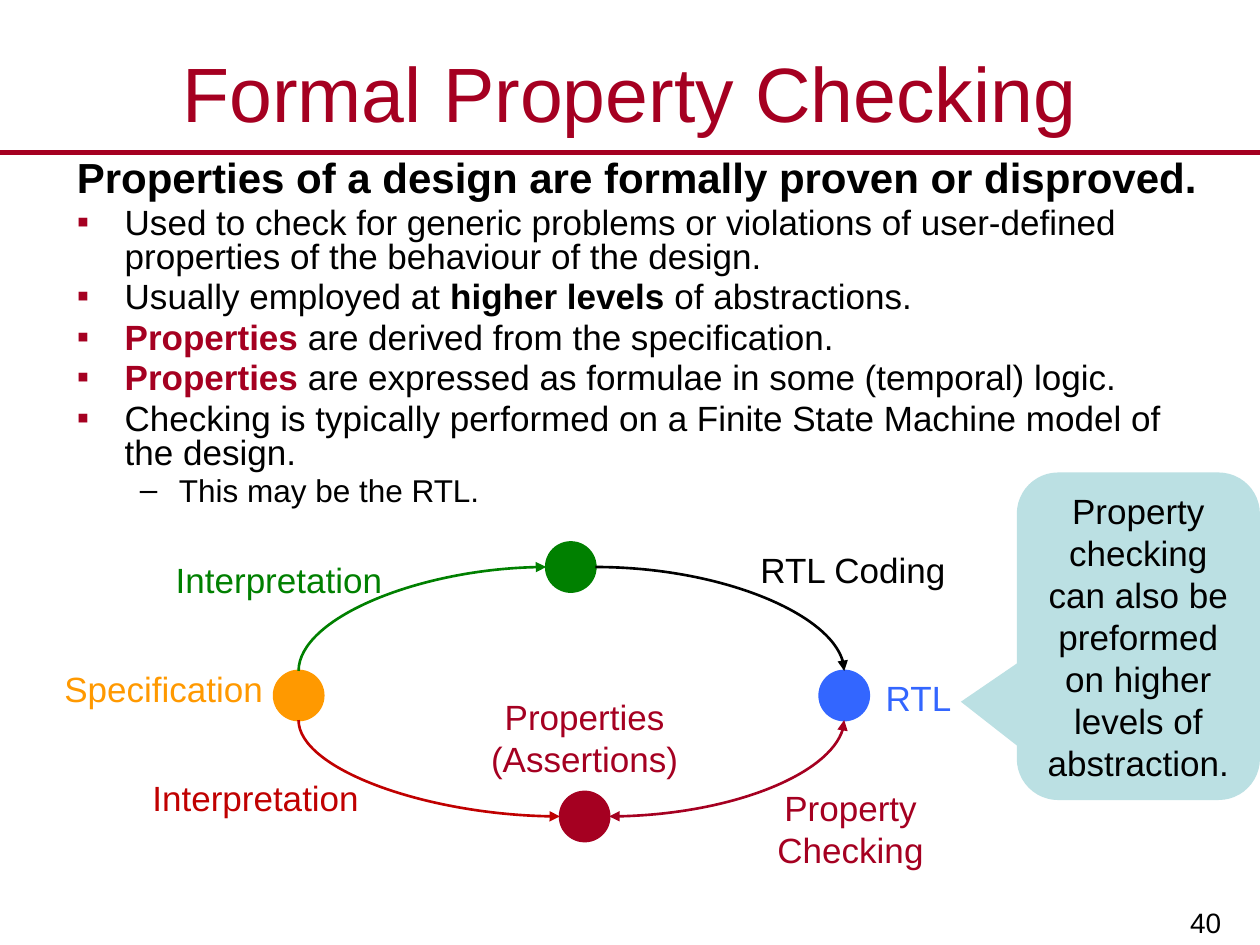
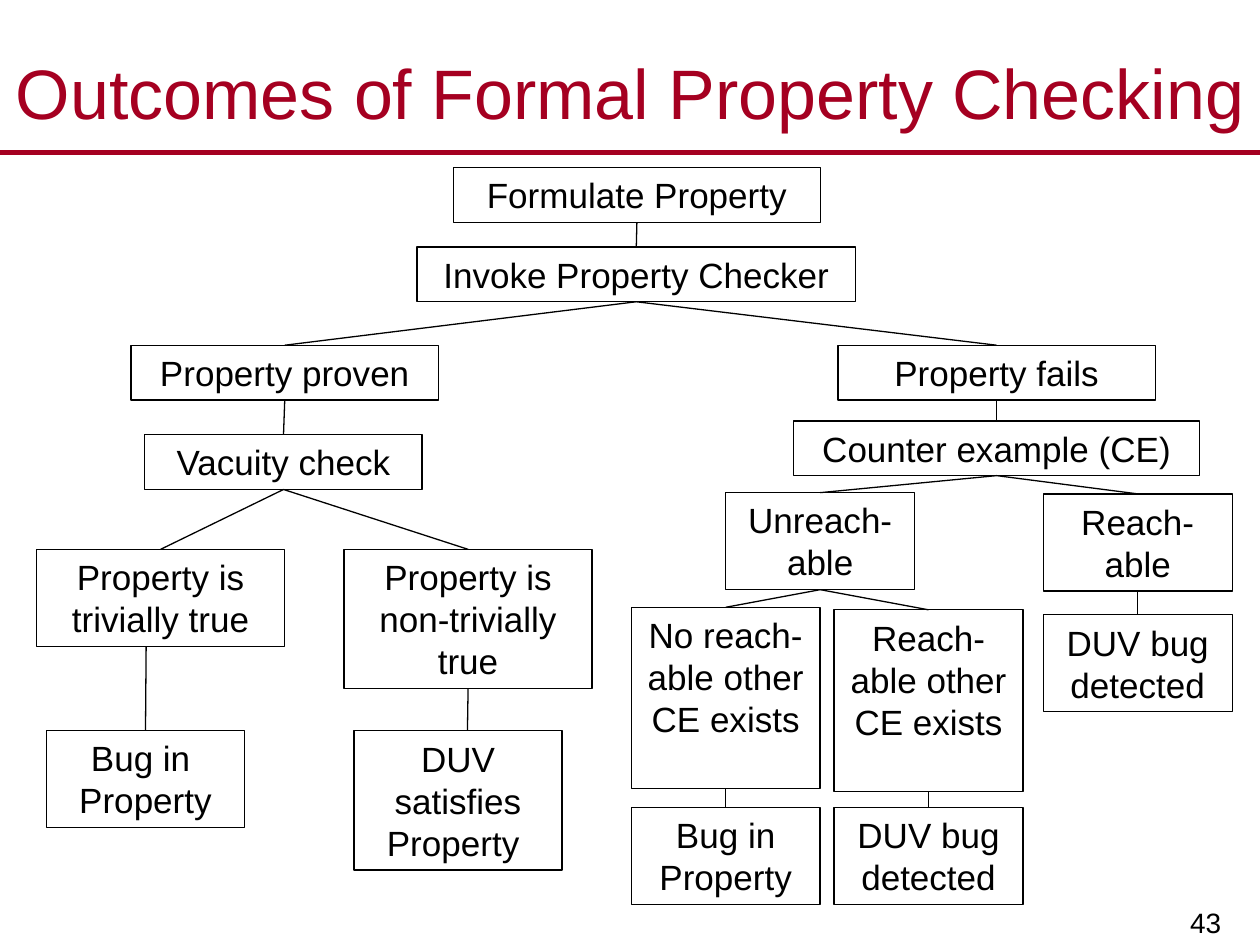
from math import copysign

from lxml import etree
from pptx import Presentation
from pptx.dml.color import RGBColor
from pptx.enum.shapes import MSO_CONNECTOR, MSO_SHAPE
from pptx.enum.text import MSO_ANCHOR, MSO_AUTO_SIZE, PP_ALIGN
from pptx.oxml.ns import qn
from pptx.util import Inches, Pt

LINE, CURVE = MSO_CONNECTOR.STRAIGHT, MSO_CONNECTOR.CURVE
OVAL, RECT = MSO_SHAPE.OVAL, MSO_SHAPE.RECTANGLE
CALLOUT = MSO_SHAPE.ROUNDED_RECTANGULAR_CALLOUT
TOP, MIDDLE, BOTTOM = MSO_ANCHOR.TOP, MSO_ANCHOR.MIDDLE, MSO_ANCHOR.BOTTOM
CENTER, RIGHT = PP_ALIGN.CENTER, PP_ALIGN.RIGHT

FONT = "Arial"
BLACK = RGBColor(0x00, 0x00, 0x00)
CRIMSON = RGBColor(0xA5, 0x00, 0x21)
RED = RGBColor(0xC0, 0x00, 0x00)
ORANGE = RGBColor(0xFF, 0x99, 0x00)
BLUE = RGBColor(0x33, 0x66, 0xFF)
GREEN = RGBColor(0x00, 0x80, 0x00)
TEAL = RGBColor(0xBB, 0xE0, 0xE3)

# Body styles: size, bold, level, margin, hanging indent, bullet, bullet colour
STYLES = {
    "lead": (24, True, 0, 0.38, 0.38, None, None),
    "item": (20, False, 0, 0.38, 0.38, "▪", CRIMSON),
    "sub": (18, False, 1, 0.81, 0.31, "–", BLACK),
}

# Body paragraphs: style, then runs of text, bold, colour
POINTS = [
    ("lead", [("Properties of a design are formally proven or disproved.", None, None)]),
    ("item", [("Used to check for generic problems or violations of user-defined "
               "properties of the behaviour of the design.", None, None)]),
    ("item", [("Usually employed at ", None, None), ("higher levels ", True, None),
              ("of abstractions.", None, None)]),
    ("item", [("Properties ", True, CRIMSON),
              ("are derived from the specification.", None, None)]),
    ("item", [("Properties ", True, CRIMSON),
              ("are expressed as formulae in some (temporal) logic.", None, None)]),
    ("item", [("Checking is typically performed on a Finite State Machine model of "
               "the design.", None, None)]),
    ("sub", [("This may be the RTL.", None, None)]),
]

# Nodes: centre x, centre y, colour
DOT = 0.39
NODES = {
    "spec": (2.37, 5.52, ORANGE),
    "design": (4.53, 4.5, GREEN),
    "props": (4.64, 6.48, CRIMSON),
    "rtl": (6.7, 5.52, BLUE),
}

# Arcs: node left sideways, node met upright, colour, arrowheads
ARCS = [
    ("design", "spec", GREEN, ["headEnd"]),
    ("design", "rtl", BLACK, ["tailEnd"]),
    ("props", "spec", RED, ["headEnd"]),
    ("props", "rtl", CRIMSON, ["headEnd", "tailEnd"]),
]

# Labels: text, left, top, width, lines, colour
LABELS = [
    ("Interpretation", 1.15, 4.38, 2.13, 1, GREEN),
    ("RTL Coding", 5.8, 4.3, 1.94, 1, BLACK),
    ("Specification", 0.28, 5.25, 2.04, 1, ORANGE),
    ("RTL", 6.89, 5.32, 0.8, 1, BLUE),
    ("Interpretation", 0.83, 6.11, 2.4, 1, RED),
    ("Properties (Assertions)", 3.71, 5.47, 1.86, 2, CRIMSON),
    ("Property Checking", 5.79, 6.19, 1.92, 2, CRIMSON),
]
NOTE = "Property checking can also be preformed on higher levels of abstraction."

# Tree boxes: text, left, top, width, lines
BOXES = {
    "start": ("Formulate Property", 3.6, 1.33, 2.91, 1),
    "invoke": ("Invoke Property Checker", 3.31, 1.96, 3.48, 1),
    "proven": ("Property proven", 1.04, 2.74, 2.44, 1),
    "fails": ("Property fails", 6.65, 2.74, 2.52, 1),
    "vacuity": ("Vacuity check", 1.15, 3.45, 2.2, 1),
    "trivial": ("Property is trivially true", 0.29, 4.36, 1.97, 2),
    "sound": ("Property is non-trivially true", 2.73, 4.36, 1.97, 3),
    "flaw": ("Bug in \nProperty", 0.37, 5.8, 1.57, 2),
    "good": ("DUV satisfies Property ", 2.81, 5.8, 1.65, 3),
    "counter": ("Counter example (CE)", 6.3, 3.34, 3.22, 1),
    "unreach": ("Unreach-able", 5.76, 3.91, 1.5, 2),
    "reach": ("Reach-able", 8.28, 3.92, 1.5, 2),
    "bug": ("DUV bug detected", 8.28, 4.88, 1.5, 2),
    "none": ("No reach-able other CE exists", 5.01, 4.82, 1.5, 4),
    "other": ("Reach-able other CE exists", 6.62, 4.84, 1.5, 4),
    "none flaw": ("Bug in Property", 5.01, 6.41, 1.5, 2),
    "other bug": ("DUV bug detected", 6.62, 6.41, 1.5, 2),
}
LINKS = {
    "start": ["invoke"],
    "invoke": ["proven", "fails"],
    "proven": ["vacuity"],
    "vacuity": ["trivial", "sound"],
    "fails": ["counter"],
    "counter": ["unreach", "reach"],
    "unreach": ["none", "other"],
    "reach": ["bug"],
    "none": ["none flaw"],
    "other": ["other bug"],
}
# Upright links between boxes that are not centred on each other:
# parent, child, x, whether the parent's middle is met
DROPS = [("trivial", "flaw", 1.16, False), ("sound", "good", 3.71, True)]


def tall(lines):
    """Height in inches of a box that holds this many 20 pt lines."""
    return 0.1 + 0.335 * lines


def style(par, size, color, bold=False):
    font = par.font
    font.name, font.size, font.bold = FONT, Pt(size), bold
    font.color.rgb = color


def place(shape, left, top, width, height):
    shape.left, shape.top = Inches(left), Inches(top)
    shape.width, shape.height = Inches(width), Inches(height)


def write(shape, text, size=20, color=BLACK, align=CENTER, anchor=TOP):
    frame = shape.text_frame
    frame.word_wrap = True
    frame.auto_size = MSO_AUTO_SIZE.NONE
    frame.vertical_anchor = anchor
    frame.text = text
    for par in frame.paragraphs:
        par.alignment = align
        style(par, size, color)


def add_text(slide, text, left, top, width, height, **look):
    box = slide.shapes.add_textbox(*map(Inches, (left, top, width, height)))
    write(box, text, **look)
    return box


def add_form(slide, kind, left, top, width, height, fill=None, line=None, weight=0.75):
    form = slide.shapes.add_shape(kind, *map(Inches, (left, top, width, height)))
    form.shadow.inherit = False
    for part, color in ((form.fill, fill), (form.line.fill, line)):
        if color is None:
            part.background()
        else:
            part.solid()
            part.fore_color.rgb = color
    if line is not None:
        form.line.width = Pt(weight)
    return form


def add_line(slide, ends, color=BLACK, weight=0.75, kind=LINE):
    line = slide.shapes.add_connector(kind, *map(Inches, ends))
    line.line.color.rgb = color
    line.line.width = Pt(weight)
    etree.SubElement(line._element.spPr, qn("a:effectLst"))
    return line


def add_arc(slide, hub, side, color, heads):
    """Quarter curve that leaves the hub sideways and meets the side upright."""
    x1, y1, _ = NODES[hub]
    x2, y2, _ = NODES[side]
    x1 += copysign(DOT / 2, x2 - x1)
    y2 += copysign(DOT / 2, y1 - y2)
    arc = add_line(slide, (x1, y1, x2, y2), color, 1.5, CURVE)
    arc._element.spPr.find(qn("a:prstGeom")).set("prst", "curvedConnector2")
    for head in heads:
        etree.SubElement(arc.line._get_or_add_ln(), qn("a:" + head), type="triangle")


def set_bullet(par, margin, hang, mark, color):
    props = par._p.get_or_add_pPr()
    props.set("marL", str(Inches(margin)))
    props.set("indent", str(-Inches(hang)))
    if mark is None:
        etree.SubElement(props, qn("a:buNone"))
        return
    tint = etree.SubElement(props, qn("a:buClr"))
    etree.SubElement(tint, qn("a:srgbClr"), val=str(color))
    etree.SubElement(props, qn("a:buFont"), typeface=FONT)
    etree.SubElement(props, qn("a:buChar"), char=mark)


def fill_body(body):
    place(body, 0.51, 1.23, 9.22, 2.91)
    frame = body.text_frame
    frame.auto_size = MSO_AUTO_SIZE.NONE
    for i, (name, runs) in enumerate(POINTS):
        size, bold, level, margin, hang, mark, tint = STYLES[name]
        par = frame.add_paragraph() if i else frame.paragraphs[0]
        par.level = level
        par.line_spacing = 0.8
        par.space_before = Pt(0.2 * size if i else 0)
        set_bullet(par, margin, hang, mark, tint)
        style(par, size, BLACK, bold)
        for text, strong, color in runs:
            run = par.add_run()
            run.text = text
            if strong:
                run.font.bold = True
            if color is not None:
                run.font.color.rgb = color


def add_slide(deck, layout, title, size, number):
    slide = deck.slides.add_slide(deck.slide_layouts[layout])
    add_line(slide, (0, 1.21, 10, 1.21), CRIMSON, 3)
    place(slide.shapes.title, 0, 0.3, 10, 0.86)
    write(slide.shapes.title, title, size, CRIMSON, anchor=MIDDLE)
    add_text(slide, number, 7.8, 6.93, 1.99, 0.57, size=16, align=RIGHT, anchor=BOTTOM)
    return slide


def build_cycle(deck):
    slide = add_slide(deck, 1, "Formal Property Checking", 44, "40")
    fill_body(slide.placeholders[1])
    for x, y, color in NODES.values():
        add_form(slide, OVAL, x - DOT / 2, y - DOT / 2, DOT, DOT, color, color, 1.5)
    for arc in ARCS:
        add_arc(slide, *arc)
    for text, left, top, width, lines, color in LABELS:
        add_text(slide, text, left, top, width, tall(lines), color=color)
    note = add_form(slide, CALLOUT, 8.07, 3.75, 1.93, 2.6, TEAL)
    for i, value in enumerate((-0.73, 0.2, 0.17)):
        note.adjustments[i] = value
    write(note, NOTE, anchor=MIDDLE)


def build_tree(deck):
    slide = add_slide(deck, 5, "Outcomes of Formal Property Checking", 40, "43")
    forms = {}
    for name, (text, left, top, width, lines) in BOXES.items():
        forms[name] = add_form(slide, RECT, left, top, width, tall(lines), line=BLACK)
        write(forms[name], text)
    for parent, children in LINKS.items():
        for child in children:
            link = add_line(slide, (0, 0, 1, 1))
            link.begin_connect(forms[parent], 2)
            link.end_connect(forms[child], 0)
    for parent, child, x, centred in DROPS:
        _, _, top, _, lines = BOXES[parent]
        drop = add_line(slide, (x, top + tall(lines), x, BOXES[child][2]))
        if centred:
            drop.begin_connect(forms[parent], 2)
        else:
            drop.end_connect(forms[child], 0)


def main():
    deck = Presentation()
    deck.slide_width, deck.slide_height = Inches(10), Inches(7.5)
    build_cycle(deck)
    build_tree(deck)
    deck.save("out.pptx")


if __name__ == "__main__":
    main()
